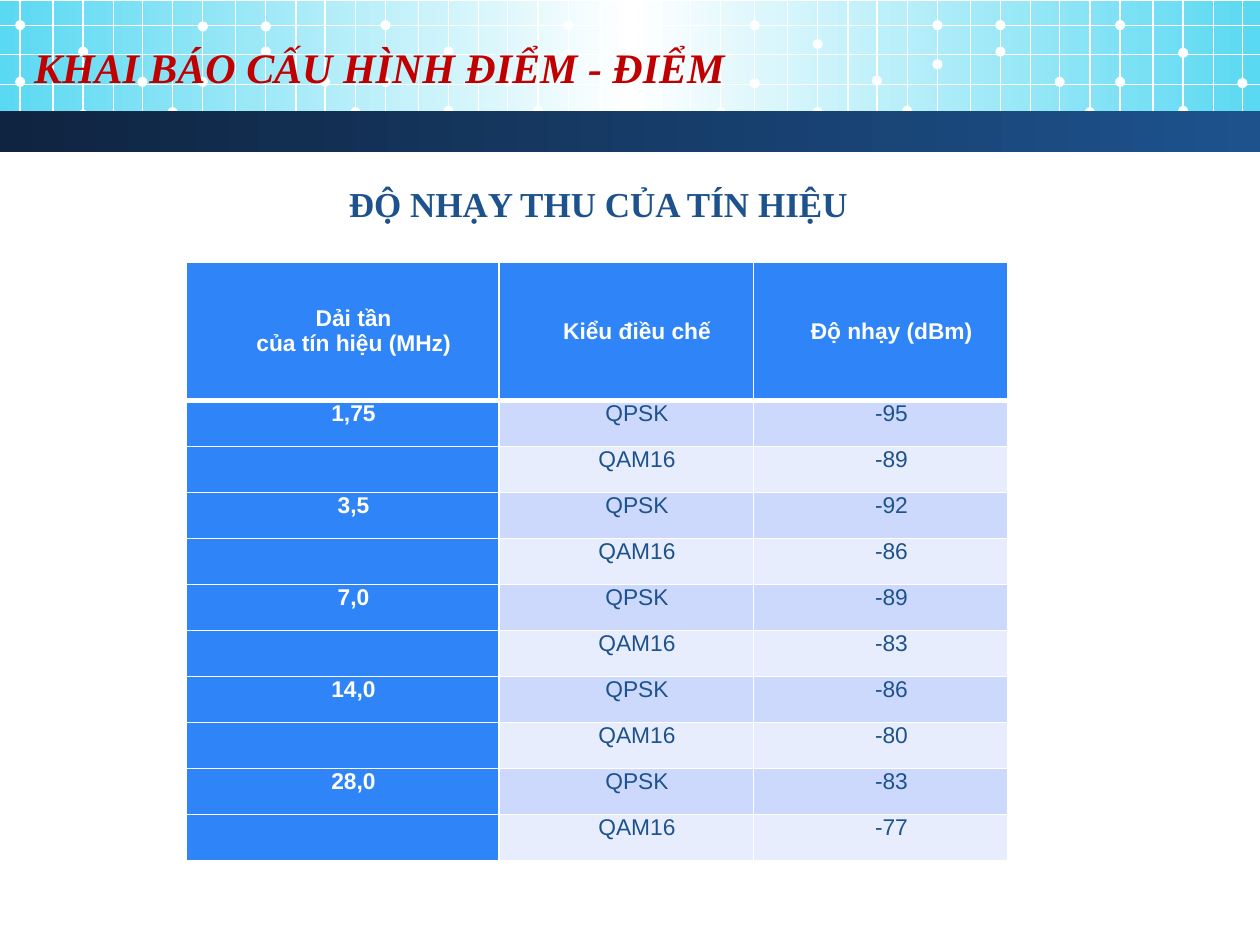
import pptx
import pptx.util
import pptx.dml.color
import pptx.enum.shapes
import pptx.enum.text
import pptx.oxml
import pptx.oxml.ns
from lxml import etree

Inches = pptx.util.Inches
Pt = pptx.util.Pt
Shape = pptx.enum.shapes.MSO_SHAPE
Align = pptx.enum.text.PP_ALIGN
Anchor = pptx.enum.text.MSO_ANCHOR
qn = pptx.oxml.ns.qn

HUE = {
    "white": "FFFFFF", "cyan": "5AD9F2", "dark": "0F2440", "navy": "1D528D",
    "red": "C00000", "blue": "2F85F7", "band": "CDD9FC", "pale": "E8EDFD",
}

# Grid lines repeat in groups of six; each row of dots gives the tops in one group
STARTS = [0.16, 1.61, 3.06, 4.51, 5.99, 7.44, 8.89]
STEPS = [0, 0.26, 0.5, 0.74, 0.97, 1.21]
LEVELS = [0.2, 0.43, 0.67, 0.89]
DOT_STEPS = [0, 0, 0.5, 0.5, 0.97, 1.21]
DOT_TOPS = [
    [0.61, 0.16, 0.37, 0.87, 0.61, 0.85],
    [0.61, 0.17, 0.37, 0.17, 0.61, 0.85],
    [0.61, 0.16, 0.37, 0.84, 0.61, 0.84],
    [0.39, 0.16, 0.38, 0.16, 0.61, 0.85],
    [0.62, 0.16, 0.31, 0.85, 0.6, 0.84],
    [0.47, 0.16, 0.37, 0.16, 0.61, 0.85],
    [0.61, 0.16, 0.38, 0.84, 0.62],
]
DOT = 0.08

HEADS = ["Dải tần\ncủa tín hiệu (MHz)", "Kiểu điều chế", "Độ nhạy (dBm)"]
BANDS = [("1,75", -95, -89), ("3,5", -92, -86), ("7,0", -89, -83),
         ("14,0", -86, -80), ("28,0", -83, -77)]


def color(name):
    return pptx.dml.color.RGBColor.from_string(HUE[name])


def style(par, face, size, name, bold=False, slant=False):
    font = par.font
    font.name, font.size = face, Pt(size)
    font.bold, font.italic = bold, slant
    font.color.rgb = color(name)


def add_form(slide, kind, left, top, width, height):
    form = slide.shapes.add_shape(
        kind, Inches(left), Inches(top), Inches(width), Inches(height))
    form.shadow.inherit = False
    form.line.fill.background()
    return form


def add_band(slide, left, top, width, height, names):
    """Rectangle with evenly spaced gradient stops from left to right."""
    fill = add_form(slide, Shape.RECTANGLE, left, top, width, height).fill
    fill.gradient()
    fill.gradient_angle = 0
    stops = fill.gradient_stops
    if len(names) == 3:
        # Add a middle stop
        first = stops[0]._gs
        mid = pptx.oxml.parse_xml(etree.tostring(first))
        first.addnext(mid)
        stops = fill.gradient_stops
    for i, (stop, name) in enumerate(zip(stops, names)):
        stop.position = i / (len(names) - 1)
        stop.color.rgb = color(name)


def add_line(slide, x1, y1, x2, y2):
    line = slide.shapes.add_connector(
        pptx.enum.shapes.MSO_CONNECTOR.STRAIGHT,
        Inches(x1), Inches(y1), Inches(x2), Inches(y2))
    line.line.color.rgb = color("white")
    line.line.width = Pt(0.75)
    etree.SubElement(line.element.spPr, qn("a:effectLst"))


def add_header(slide, left, top, width, height):
    add_band(slide, left, top + 0.01, width, 1.02, ["cyan", "white", "cyan"])
    # Grid
    for start in STARTS:
        for step in STEPS:
            if start + step < width:
                x = left + start + step
                add_line(slide, x, top, x, top + 1.1)
    for level in LEVELS:
        add_line(slide, left, top + level, left + width, top + level)
    # Dots
    for start, tops in zip(STARTS, DOT_TOPS):
        for step, drop in zip(DOT_STEPS, tops):
            dot = add_form(slide, Shape.OVAL, left + start + step - DOT / 2,
                           top + drop, DOT, DOT)
            dot.fill.solid()
            dot.fill.fore_color.rgb = color("white")
    # Dark strip
    add_band(slide, left, top + height - 0.33, width, 0.33, ["dark", "navy"])


def set_title(slide, left, top, width, height):
    title = slide.shapes.title
    title.left, title.top = Inches(left), Inches(top)
    title.width, title.height = Inches(width), Inches(height)
    title.text_frame.text = "KHAI BÁO CẤU HÌNH ĐIỂM - ĐIỂM"
    title.text_frame.vertical_anchor = Anchor.MIDDLE
    par = title.text_frame.paragraphs[0]
    par.alignment = Align.LEFT
    style(par, "Times New Roman", 24, "red", True, True)
    slide.shapes.element.append(title.element)  # bring above the header


def add_label(slide, left, top, width, height):
    box = slide.shapes.add_textbox(
        Inches(left), Inches(top), Inches(width), Inches(height))
    frame = box.text_frame
    frame.word_wrap = False
    frame.auto_size = pptx.enum.text.MSO_AUTO_SIZE.SHAPE_TO_FIT_TEXT
    frame.text = "ĐỘ NHẠY THU CỦA TÍN HIỆU"
    style(frame.paragraphs[0], "Times New Roman", 20, "navy", True)


def set_edges(cell, head):
    """White cell borders, thicker between the head row and the body."""
    props = cell._tc.get_or_add_tcPr()
    for side in "LRTB":
        wide = Pt(3 if head and side == "B" else 1)
        edge = etree.SubElement(props, qn("a:ln" + side), w=str(wide))
        fill = etree.SubElement(edge, qn("a:solidFill"))
        etree.SubElement(fill, qn("a:srgbClr"), val=HUE["white"])


def fill_cell(cell, text, name, strong, head):
    set_edges(cell, head)
    cell.fill.solid()
    cell.fill.fore_color.rgb = color(name)
    cell.margin_left = cell.margin_right = Inches(0.07)
    cell.margin_top = cell.margin_bottom = 0
    cell.vertical_anchor = Anchor.MIDDLE if head else Anchor.TOP
    cell.text = text
    for par in cell.text_frame.paragraphs:
        par.alignment = Align.CENTER
        props = par._p.get_or_add_pPr()
        props.set("marL", "0")
        props.set("indent", str(Inches(0.17)))
        style(par, "Arial", 13, "white" if strong else "navy", strong)


def add_grid(slide, left, top, width, height):
    rows = [HEADS]
    for band, low, high in BANDS:
        rows += [[band, "QPSK", str(low)], ["", "QAM16", str(high)]]
    grid = slide.shapes.add_table(
        len(rows), len(HEADS), Inches(left), Inches(top),
        Inches(width), Inches(height)).table
    for col, wide in zip(grid.columns, [2.48, 2.02, 2.02]):
        col.width = Inches(wide)
    tall = 1.1
    for r, row in enumerate(rows):
        head = r == 0
        grid.rows[r].height = Inches(
            tall if head else (height - tall) / (len(rows) - 1))
        for c, text in enumerate(row):
            strong = head or c == 0
            name = "blue" if strong else "band" if r % 2 else "pale"
            fill_cell(grid.cell(r, c), text, name, strong, head)


def main():
    deck = pptx.Presentation()
    deck.slide_width, deck.slide_height = Inches(10), Inches(7.5)
    slide = deck.slides.add_slide(deck.slide_layouts[5])
    add_header(slide, 0, 0, 10, 1.21)
    set_title(slide, 0.17, 0.22, 8.08, 0.62)
    add_label(slide, 2.67, 1.4, 4.2, 0.44)
    add_grid(slide, 1.48, 2.08, 6.52, 4.75)
    deck.save("out.pptx")


if __name__ == "__main__":
    main()
